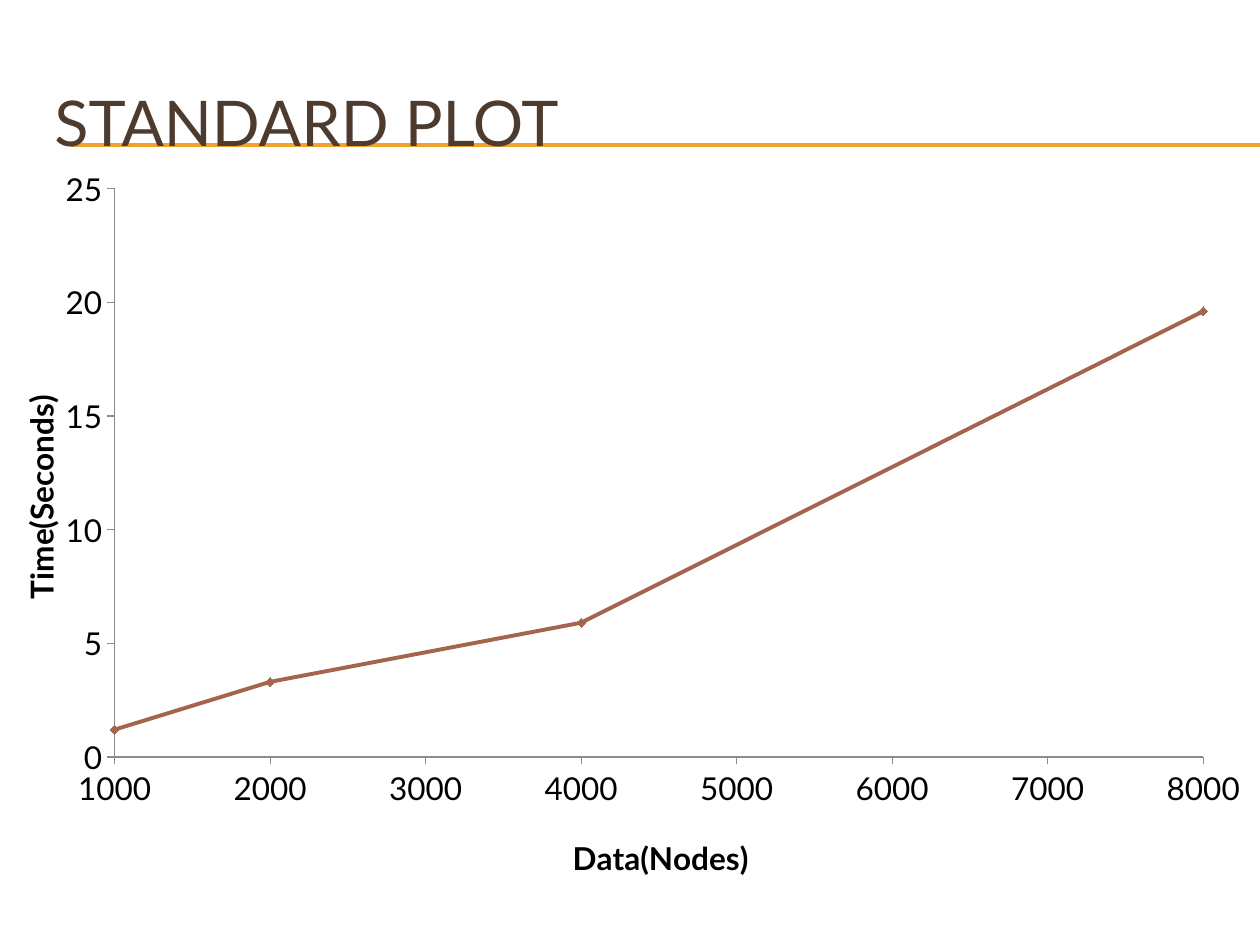
from lxml.etree import SubElement
from pptx import Presentation
from pptx.chart.data import XyChartData
from pptx.dml.color import RGBColor
from pptx.enum.chart import XL_CHART_TYPE as Kind, XL_MARKER_STYLE as Mark, XL_TICK_MARK as Tick
from pptx.enum.shapes import MSO_CONNECTOR as Link
from pptx.enum.text import MSO_ANCHOR as Anchor
from pptx.oxml import parse_xml
from pptx.oxml.ns import nsdecls, qn
from pptx.util import Pt

FONT = "Lato"
HUES = {"title": "4E3B30", "rule": "F0A22E", "curve": "A5644E",
        "axis": "8B8B8B", "text": "000000"}
TIMES = {1000: 1.2, 2000: 3.3, 4000: 5.9, 8000: 19.6}


def px(n):
    return round(n * 914400 / 126)


def hue(name):
    return RGBColor.from_string(HUES[name])


def style(font, size, color, bold=False):
    font.name, font.size, font.bold = FONT, Pt(size), bold
    font.color.rgb = hue(color)


def write(frame, text, **look):
    run = frame.paragraphs[0].add_run()
    run.text = text
    style(run.font, **look)


def set_line(line, color, width):
    line.color.rgb = hue(color)
    line.width = Pt(width)


def pin(node, spot, **place):
    """Give a chart part a manual layout in fractions of the chart."""
    for old in node.findall(qn("c:layout")):
        node.remove(old)
    layout = parse_xml(f"<c:layout {nsdecls('c')}><c:manualLayout/></c:layout>")
    for key, val in place.items():
        SubElement(layout[0], qn(f"c:{key}")).set("val", str(val))
    node.insert(spot, layout)


def add_head(slide, left, top, width, height):
    for y in (81, 83):
        rule = slide.shapes.add_connector(
            Link.STRAIGHT, px(left + 29), px(top + y), px(1260), px(top + y))
        set_line(rule.line, "rule", 0.75)
        SubElement(rule._element.spPr, qn("a:effectLst"))
    box = slide.shapes.add_textbox(px(left), px(top), px(width), px(height))
    frame = box.text_frame
    frame.word_wrap = True
    frame.vertical_anchor = Anchor.MIDDLE
    write(frame, "STANDARD PLOT", size=36, color="title")


def set_axis(axis, name, low, high, step, x, y):
    axis.minimum_scale, axis.maximum_scale, axis.major_unit = low, high, step
    axis.has_major_gridlines = False
    axis.major_tick_mark, axis.minor_tick_mark = Tick.OUTSIDE, Tick.NONE
    axis.tick_labels.number_format = "General"
    axis.tick_labels.number_format_is_linked = False
    style(axis.tick_labels.font, 18, "text")
    set_line(axis.format.line, "axis", 0.75)
    title = axis.axis_title
    write(title.text_frame, name, size=18, color="text", bold=True)
    pin(title._element, 1, xMode="edge", yMode="edge", x=x, y=y)


def add_plot(slide, left, top, width, height):
    data = XyChartData()
    points = data.add_series("Series 1")
    for nodes, secs in TIMES.items():
        points.add_data_point(nodes, secs)
    chart = slide.shapes.add_chart(
        Kind.XY_SCATTER_SMOOTH, px(left), px(top), px(width), px(height), data).chart
    chart.has_legend = chart.has_title = False
    style(chart.font, 18, "text")

    set_axis(chart.category_axis, "Data(Nodes)", 1000, 8000, 1000, 0.45, 0.9)
    up = chart.value_axis
    set_axis(up, "Time(Seconds)", 0, 25, 5, 0.01, 0.31)
    up.axis_title.text_frame._txBody.bodyPr.set("rot", "-5400000")
    area = chart._chartSpace.chart.plotArea
    pin(area, 0, layoutTarget="inner", xMode="edge", yMode="edge",
        x=0.091, y=0.041, w=0.864, h=0.762)

    curve = chart.plots[0].series[0]
    curve.smooth = True
    set_line(curve.format.line, "curve", 2.25)
    mark = curve.marker
    mark.style, mark.size = Mark.DIAMOND, 5
    mark.format.fill.solid()
    mark.format.fill.fore_color.rgb = hue("curve")
    set_line(mark.format.line, "curve", 0.75)


def main():
    deck = Presentation()
    deck.slide_width, deck.slide_height = px(1260), px(945)
    slide = deck.slides.add_slide(deck.slide_layouts[6])
    add_head(slide, 42, 63, 1197, 116)
    add_plot(slide, 0, 158, 1260, 746)
    deck.save("out.pptx")


if __name__ == "__main__":
    main()
